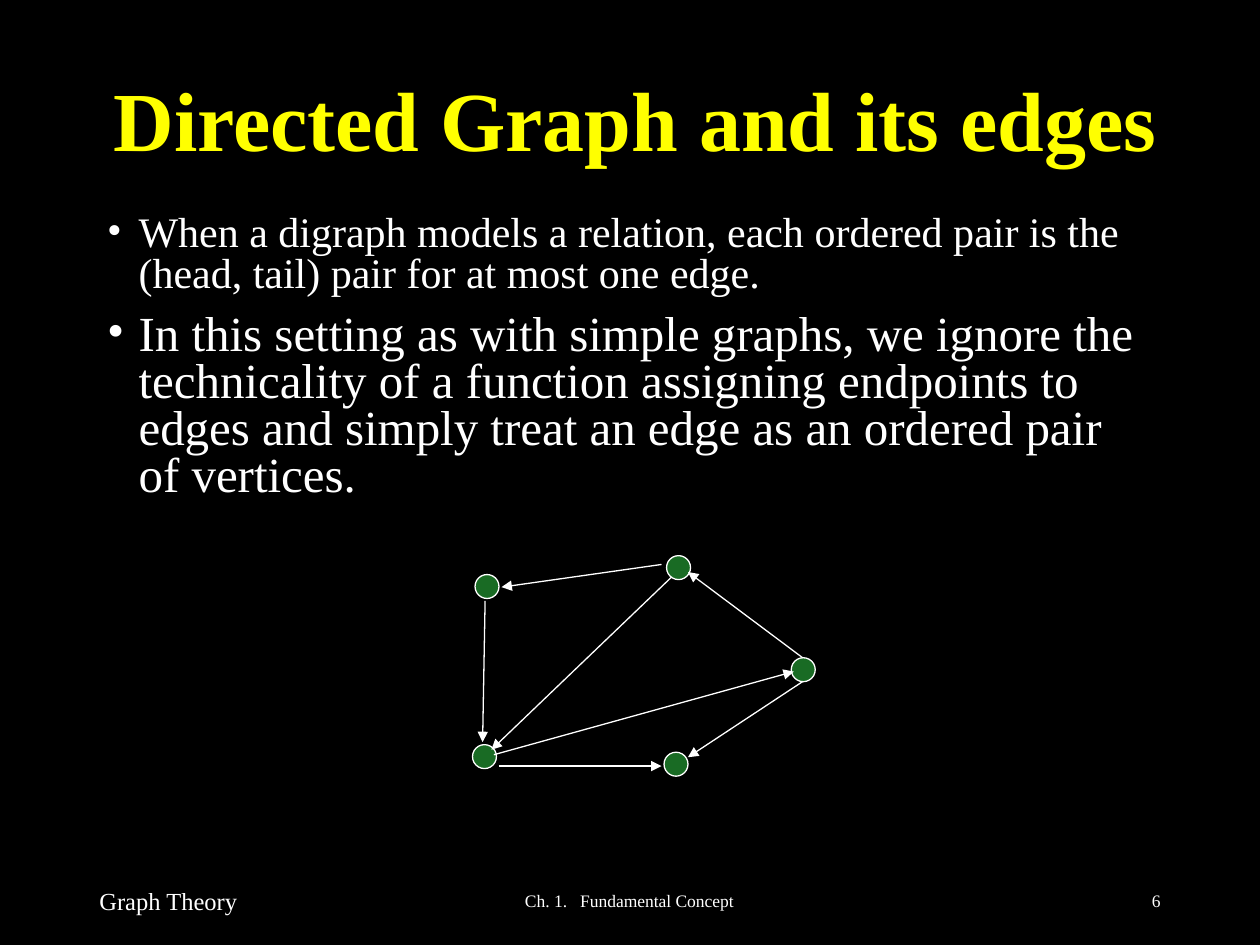
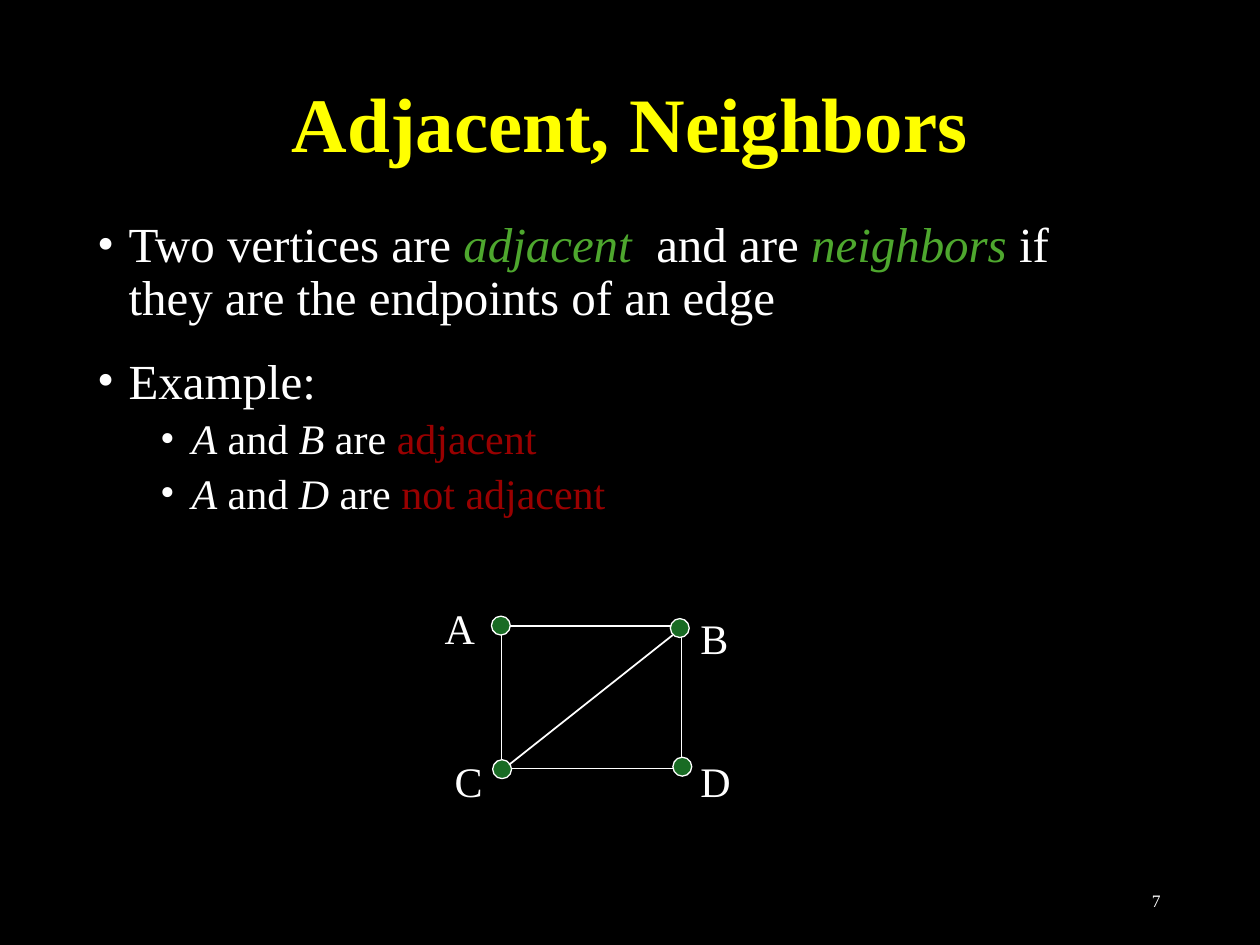
import dataclasses

import lxml.etree
import pptx
import pptx.dml.color
import pptx.enum.shapes
import pptx.enum.text
import pptx.oxml.ns
import pptx.util

Inches = pptx.util.Inches
Pt = pptx.util.Pt
ALIGN = pptx.enum.text.PP_ALIGN
ANCHOR = pptx.enum.text.MSO_ANCHOR
SHAPE = pptx.enum.shapes.MSO_SHAPE
qn = pptx.oxml.ns.qn


@dataclasses.dataclass(frozen=True)
class Theme:
    font: str = "Times New Roman"
    back: str = "000000"
    text: str = "FFFFFF"
    title: str = "FFFF00"
    vertex: str = "196B24"
    term: str = "4EA72E"
    result: str = "990000"
    title_wide: int = 48
    title_size: int = 44
    large: int = 28
    medium: int = 24
    footer: int = 14
    small: int = 10
    thin: float = 0.75
    thick: float = 1


def rgb(value):
    return pptx.dml.color.RGBColor.from_string(value)


def add_text(p, text, *, size, font, color, bold=False, italic=False):
    r = p.add_run()
    r.text = text
    r.font.name = font
    r.font.size = Pt(size)
    r.font.bold = bold
    r.font.italic = italic
    r.font.color.rgb = rgb(color)


class Deck:
    def __init__(self, theme):
        self.theme = theme
        self.prs = pptx.Presentation()
        self.prs.slide_width = Inches(10)
        self.prs.slide_height = Inches(7.5)
        fill = self.prs.slide_master.background.fill
        fill.solid()
        fill.fore_color.rgb = rgb(theme.back)

    def slide(self, number):
        self.s = self.prs.slides.add_slide(self.prs.slide_layouts[1])
        self.footer(str(number), 7.06, 2.25, self.theme.small, ALIGN.RIGHT)

    def run(self, p, text, **fmt):
        add_text(p, text, **{"font": self.theme.font, "color": self.theme.text, **fmt})

    def place(self, sp, box):
        sp.left, sp.top, sp.width, sp.height = map(Inches, box)
        tf = sp.text_frame
        tf.word_wrap = True
        tf.auto_size = pptx.enum.text.MSO_AUTO_SIZE.NONE
        return tf

    def title(self, text, box, size, align):
        tf = self.place(self.s.shapes.title, box)
        tf.vertical_anchor = ANCHOR.MIDDLE
        p = tf.paragraphs[0]
        p.alignment = align
        p.line_spacing = 0.9
        self.run(p, text, size=size, color=self.theme.title, bold=True)

    def bullets(self, items, box, spacing):
        tf = self.place(self.s.placeholders[1], box)
        tf.vertical_anchor = ANCHOR.TOP
        for i, (level, before, size, runs) in enumerate(items):
            p = tf.paragraphs[0] if i == 0 else tf.add_paragraph()
            self.bullet(p, level)
            p.line_spacing = spacing
            p.space_before = Pt(before)
            for text, fmt in runs:
                self.run(p, text, size=size, **fmt)

    def bullet(self, p, level):
        p.level = level
        pPr = p._p.get_or_add_pPr()
        pPr.set("marL", str(Inches(0.25 + 0.5 * level)))
        pPr.set("indent", str(Inches(-0.25)))
        clr = lxml.etree.SubElement(pPr, qn("a:buClr"))
        lxml.etree.SubElement(clr, qn("a:srgbClr"), val=self.theme.text)
        lxml.etree.SubElement(pPr, qn("a:buFont"), typeface=self.theme.font)
        lxml.etree.SubElement(pPr, qn("a:buChar"), char="•")

    def textbox(self, text, box, size, align=ALIGN.LEFT, anchor=ANCHOR.TOP):
        sp = self.s.shapes.add_textbox(*map(Inches, box))
        tf = self.place(sp, box)
        tf.vertical_anchor = anchor
        p = tf.paragraphs[0]
        p.alignment = align
        self.run(p, text, size=size)

    def footer(self, text, left, width, size, align):
        self.textbox(text, (left, 6.95, width, 0.4), size, align, ANCHOR.MIDDLE)

    def graph(self):
        self.group = self.s.shapes.add_group_shape().shapes

    def outline(self, sp, width):
        sp.line.color.rgb = rgb(self.theme.text)
        sp.line.width = Pt(width)

    def vertex(self, left, top, size):
        sp = self.group.add_shape(SHAPE.OVAL, *map(Inches, (left, top, size, size)))
        sp.shadow.inherit = False
        sp.fill.solid()
        sp.fill.fore_color.rgb = rgb(self.theme.vertex)
        self.outline(sp, self.theme.thin)

    def frame(self, box):
        sp = self.group.add_shape(SHAPE.RECTANGLE, *map(Inches, box))
        sp.shadow.inherit = False
        sp.fill.background()
        self.outline(sp, self.theme.thick)

    def edge(self, start, end, width, arrow=False):
        straight = pptx.enum.shapes.MSO_CONNECTOR.STRAIGHT
        sp = self.group.add_connector(straight, *map(Inches, start + end))
        self.outline(sp, width)
        if arrow:
            ln = sp.line._get_or_add_ln()
            lxml.etree.SubElement(ln, qn("a:tailEnd"), type="triangle")
        lxml.etree.SubElement(sp._element.spPr, qn("a:effectLst"))


def directed_graph(deck):
    t = deck.theme
    deck.slide(6)
    deck.title("Directed Graph and its edges", (0.8, 0.26, 8.63, 1.45),
               t.title_wide, ALIGN.LEFT)
    deck.bullets([
        (0, 0, t.medium, [("When a digraph models a relation, each ordered pair is "
                           "the (head, tail) pair for at most one edge.", {})]),
        (0, 10, t.large, [("In this setting as with simple graphs, we ignore the "
                           "technicality of a function assigning endpoints to edges "
                           "and simply treat an edge as an ordered pair of vertices.",
                           {})]),
    ], (0.75, 1.66, 8.5, 2.62), 0.8)
    deck.footer("Graph Theory", 0.69, 2.25, t.footer, ALIGN.LEFT)
    deck.footer("Ch. 1.   Fundamental Concept", 3.31, 3.37, t.small, ALIGN.CENTER)

    deck.graph()
    for left, top in [(3.77, 4.56), (3.75, 5.91), (5.27, 5.97), (6.28, 5.22),
                      (5.29, 4.41)]:
        deck.vertex(left, top, 0.19)
    for start, end in [
        ((3.92, 5.99), (6.3, 5.33)),
        ((3.96, 6.08), (5.25, 6.08)),
        ((5.25, 4.48), (3.98, 4.66)),
        ((3.85, 4.77), (3.83, 5.89)),
        ((6.37, 5.41), (5.46, 6.01)),
        ((6.37, 5.22), (5.46, 4.54)),
        ((5.33, 4.58), (3.9, 5.95)),
    ]:
        deck.edge(start, end, t.thin, arrow=True)


def adjacent_neighbors(deck):
    t = deck.theme
    italic = {"italic": True}
    term = {"italic": True, "color": t.term}

    def example(other, result):
        return (1, 5, t.medium, [("A", italic), (" and ", {}), (other, italic),
                                 (" are ", {}), (result, {"color": t.result})])

    deck.slide(7)
    deck.title("Adjacent, Neighbors", (0.75, 0.53, 8.5, 0.97),
               t.title_size, ALIGN.CENTER)
    deck.bullets([
        (0, 0, t.large, [("Two vertices are ", {}), ("adjacent", term),
                         ("  and are ", {}), ("neighbors", term),
                         (" if they are the endpoints of an edge", {})]),
        (0, 17.5, t.large, [("Example:", {})]),
        example("B", "adjacent"),
        example("D", "not adjacent"),
    ], (0.67, 1.7, 8.5, 5.55), 0.9)

    deck.graph()
    deck.frame((3.98, 4.97, 1.43, 1.13))
    for left, top in [(5.32, 4.91), (3.9, 4.89), (5.34, 6.01), (3.91, 6.03)]:
        deck.vertex(left, top, 0.15)
    deck.edge((4.04, 6.07), (5.34, 5.04), t.thick)
    for name, left, top, width in [("A", 3.43, 4.73, 0.47), ("B", 5.46, 4.81, 0.54),
                                   ("C", 3.51, 5.95, 0.45), ("D", 5.46, 5.95, 0.62)]:
        deck.textbox(name, (left, top, width, 0.5), t.medium)


def main():
    deck = Deck(Theme())
    directed_graph(deck)
    adjacent_neighbors(deck)
    deck.prs.save("out.pptx")


if __name__ == "__main__":
    main()
